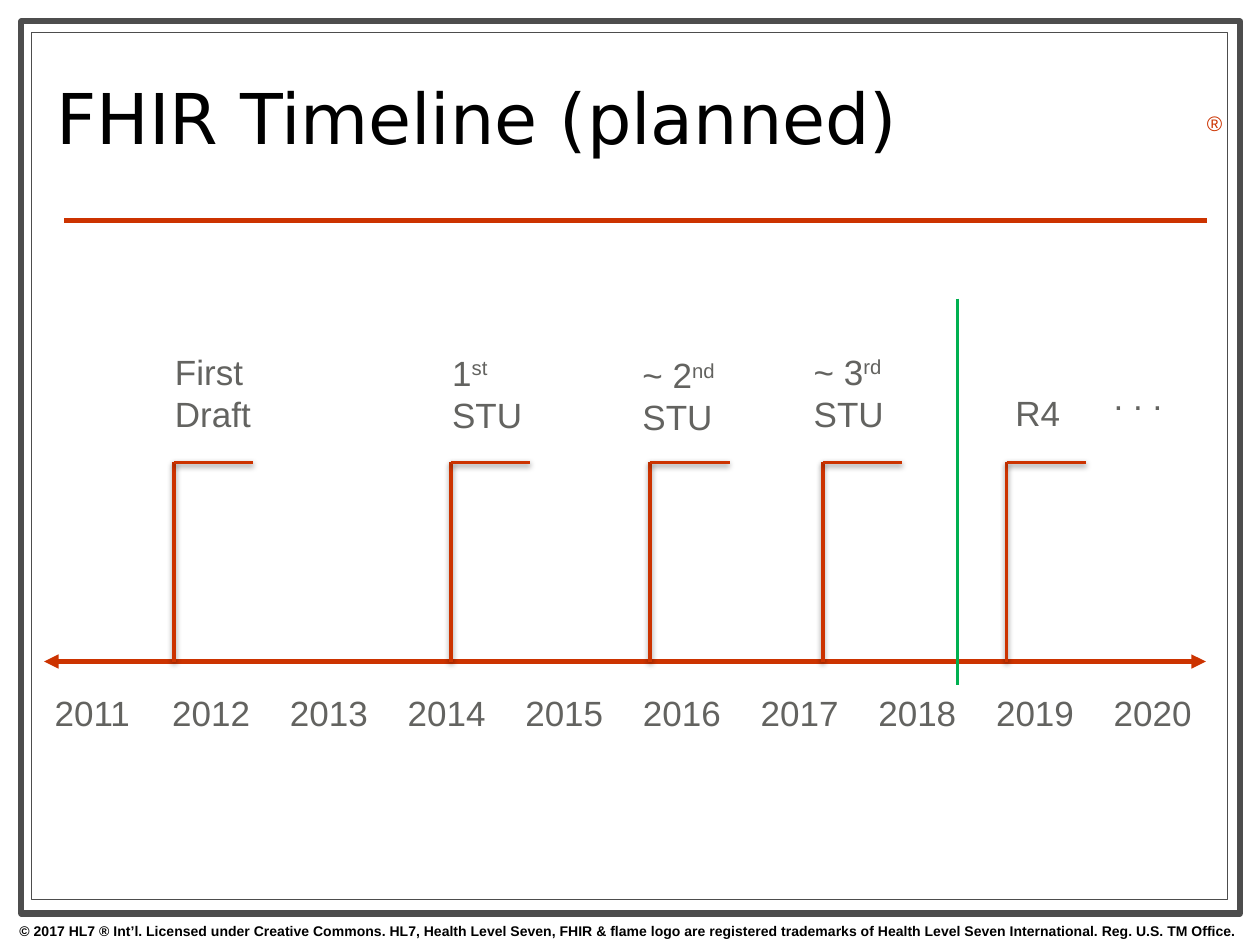
from pptx import Presentation
from pptx.dml.color import RGBColor as RGB
from pptx.enum.shapes import MSO_CONNECTOR as Conn, MSO_SHAPE as Shape
from pptx.enum.text import MSO_ANCHOR as Anchor, PP_ALIGN as Align
from pptx.oxml import parse_xml
from pptx.oxml.ns import nsdecls
from pptx.util import Inches, Pt

HUES = {"red": "CC3300", "green": "00B050", "frame": "4D4D4D",
        "gray": "636360", "black": "000000", "white": "FFFFFF"}
COLS, ROWS = 100, 75  # grid of the slide
SHADOW = ('<a:effectLst %s><a:outerShdw blurRad="39370" dist="20320" dir="5400000" '
          'rotWithShape="0"><a:srgbClr val="000000"><a:alpha val="38000"/></a:srgbClr>'
          '</a:outerShdw></a:effectLst>' % nsdecls("a"))
PLAIN = "<a:effectLst %s/>" % nsdecls("a")


class Deck:
    def __init__(self):
        self.prs = Presentation()
        self.prs.slide_width, self.prs.slide_height = Inches(10), Inches(7.5)
        self.slide = self.prs.slides.add_slide(self.prs.slide_layouts[6])

    def grid(self, *vals):
        """Turn column, row pairs into lengths."""
        units = (self.prs.slide_width / COLS, self.prs.slide_height / ROWS)
        return [round(v * units[i % 2]) for i, v in enumerate(vals)]

    def stroke(self, line, hue, width):
        line.color.rgb = RGB.from_string(HUES[hue])
        line.width = Pt(width)

    def frame(self, box, width):
        rect = self.slide.shapes.add_shape(Shape.RECTANGLE, *self.grid(*box))
        rect.shadow.inherit = False
        rect.fill.solid()
        rect.fill.fore_color.rgb = RGB.from_string(HUES["white"])
        self.stroke(rect.line, "frame", width)

    def line(self, ends, hue="red", width=2, heads=(), shade=False):
        link = self.slide.shapes.add_connector(Conn.STRAIGHT, *self.grid(*ends))
        self.stroke(link.line, hue, width)
        for tag in heads:
            link.line._get_or_add_ln().append(
                parse_xml('<a:%s %s type="triangle"/>' % (tag, nsdecls("a"))))
        link._element.spPr.append(parse_xml(SHADOW if shade else PLAIN))

    def text(self, box, paras, hue="gray", wrap=False, look=None, face=None):
        """A paragraph is a string, or a (base, superscript) pair."""
        frame = self.slide.shapes.add_textbox(*self.grid(*box)).text_frame
        frame.word_wrap = wrap
        frame.vertical_anchor = Anchor.TOP
        style = {"name": "Arial", "size": Pt(20), "bold": False, **(face or {})}
        for i, item in enumerate(paras):
            para = frame.add_paragraph() if i else frame.paragraphs[0]
            for key, val in (look or {}).items():
                setattr(para, key, val)
            parts = (item,) if isinstance(item, str) else item
            for j, part in enumerate(parts):
                for k, bit in enumerate(part.split("\n")):
                    if k:
                        para.add_line_break()
                    run = para.add_run()
                    run.text = bit
                    for key, val in style.items():
                        setattr(run.font, key, val)
                    run.font.color.rgb = RGB.from_string(HUES[hue])
                    if j:
                        run.font._element.set("baseline", "30000")
        return frame

    def flag(self, col, box, paras):
        """A release label above its flag on the time axis."""
        self.text(box, paras)
        for end in ((col, 52.5), (col + 6.3, 36.7)):
            self.line((col, 36.7, *end), shade=True)


def main():
    deck = Deck()

    # Frame, rule and footer
    deck.frame((1.7, 1.7, 96.7, 70.8), 3.5)
    deck.frame((2.5, 2.6, 94.9, 68.8), 0.75)
    deck.line((5.1, 17.5, 95.8, 17.5), width=3)
    deck.text((-0.1, 72.7, 100, 2.3),
              ["© 2017 HL7 ® Int’l. Licensed under Creative Commons. HL7, Health Level "
               "Seven, FHIR & flame logo are registered trademarks of Health Level Seven "
               "International. Reg. U.S. TM Office."],
              "black", True, {"alignment": Align.CENTER}, {"size": Pt(8), "bold": True})
    deck.text((94.8, 8.3, 3.1, 3), ["®"], "red", True, face={"size": Pt(12)})

    # Title
    title = deck.text((3.5, 3.6, 71.7, 12.6), ["FHIR Timeline (planned)"], "black", True,
                      {"line_spacing": 0.8}, {"name": "DejaVu Sans", "size": Pt(40)})
    title.vertical_anchor = Anchor.MIDDLE

    # Time axis and years
    deck.line((3.5, 52.5, 95.7, 52.5), width=2.75, heads=("headEnd", "tailEnd"))
    for i in range(10):
        deck.text((3.35 + 9.34 * i, 54.4, 8.3, 4.4), [str(2011 + i)])

    # Releases
    for col, box, paras in (
            (13.8, (12.9, 27.3, 8.1, 7.7), ["First\nDraft"]),
            (35.8, (34.9, 27.4, 7.6, 7.7), [("1", "st"), "STU"]),
            (51.6, (50, 27.6, 8.1, 7.7), [("~ 2", "nd"), "STU"]),
            (65.3, (63.6, 27.3, 8.4, 7.7), [("~ 3", "rd"), "STU"]),
            (79.9, (79.6, 30.6, 5.6, 4.4), ["R4"])):
        deck.flag(col, box, paras)
    deck.text((87.4, 29.3, 5.9, 4.4), [". . ."])

    # Present day
    deck.line((76, 23.7, 76, 54.4), "green")

    deck.prs.save("out.pptx")


if __name__ == "__main__":
    main()
